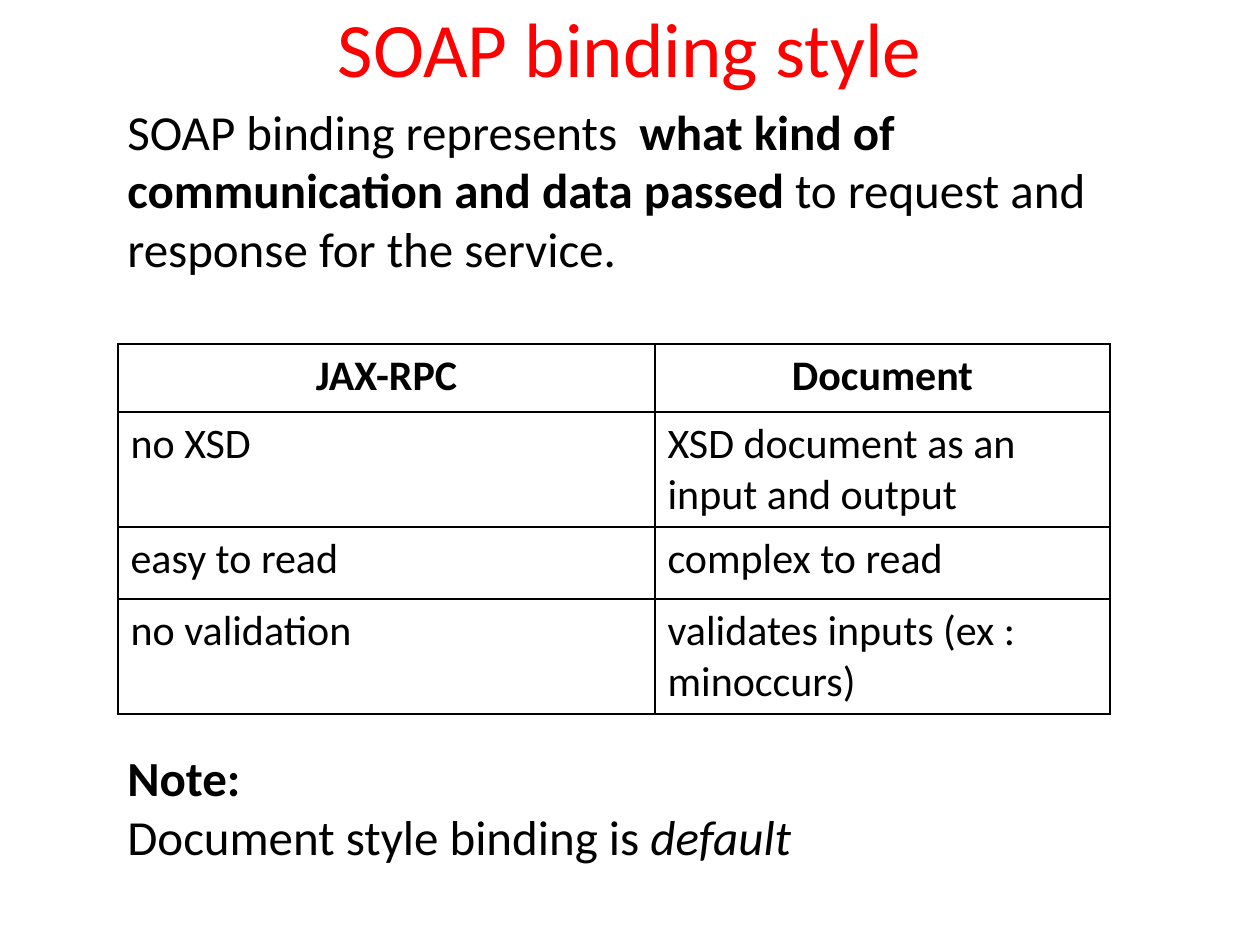
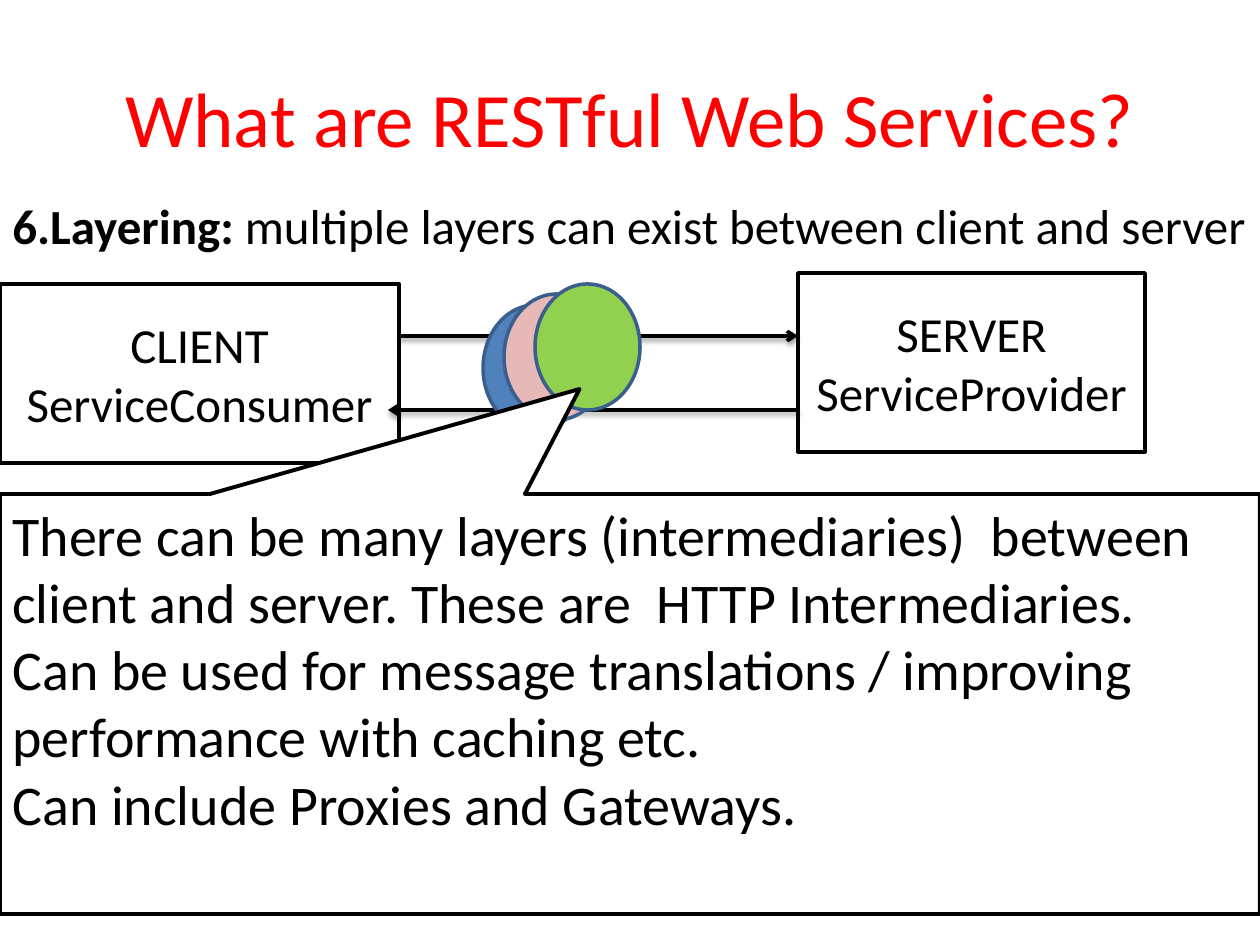
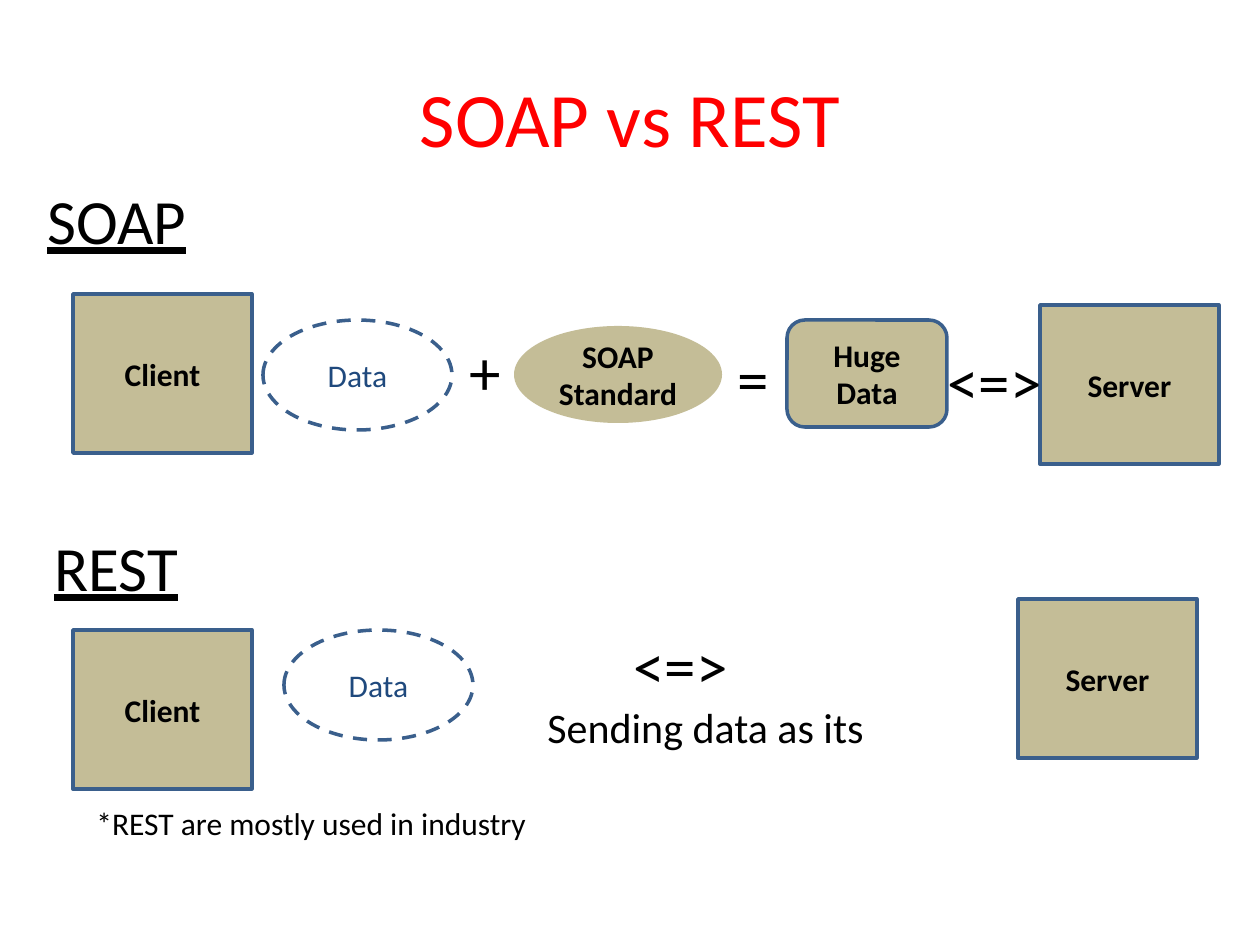
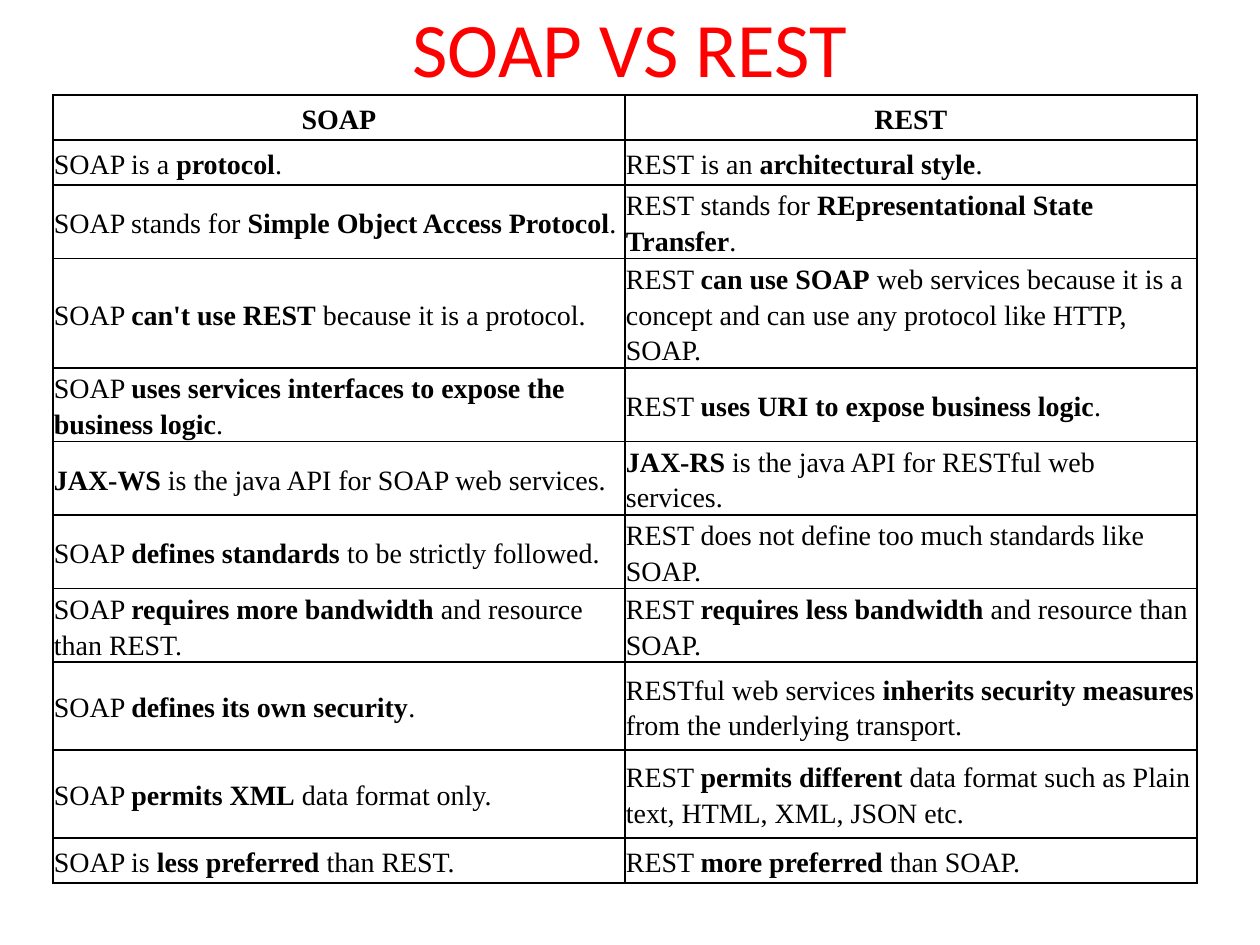
from lxml import etree
from pptx import Presentation
from pptx import util as u
from pptx.dml.color import RGBColor
from pptx.enum import dml, shapes, text
from pptx.oxml import ns

PX_PER_INCH = 126
SHAPE = shapes.MSO_SHAPE
ALIGN = text.PP_ALIGN
ANCHOR = text.MSO_ANCHOR
BODY_FONT = "Calibri"
COLORS = {
    "title": "FF0000",
    "ink": "000000",
    "paper": "FFFFFF",
    "outline": "3A5F8C",
    "tan": "C4BD97",
    "navy": "1F497D",
    "blue": "4F81BD",
    "pink": "E6B9B8",
    "green": "92D050",
}
STYLE_ROWS = [
    ("|JAX-RPC", "|Document"),
    ("no XSD", "XSD document as an input and output"),
    ("easy to read", "complex to read"),
    ("no validation", "validates inputs (ex : minoccurs)"),
]
COMPARISON_ROWS = [
    ("|SOAP", "|REST"),
    ("SOAP is a |protocol|.", "REST is an |architectural style|."),
    ("SOAP stands for |Simple Object Access Protocol|.",
     "REST stands for |REpresentational State Transfer|."),
    ("SOAP |can't use REST| because it is a protocol.",
     "REST |can use SOAP| web services because it is a concept "
     "and can use any protocol like HTTP, SOAP."),
    ("SOAP |uses services interfaces to expose the business logic|.",
     "REST |uses URI to expose business logic|."),
    ("|JAX-WS| is the java API for SOAP web services.",
     "|JAX-RS| is the java API for RESTful web services."),
    ("SOAP |defines standards |to be strictly followed.",
     "REST does not define too much standards like SOAP."),
    ("SOAP |requires more bandwidth| and resource than REST.",
     "REST |requires less bandwidth| and resource than SOAP."),
    ("SOAP |defines its own security|.",
     "RESTful web services |inherits security measures| from the underlying transport."),
    ("SOAP |permits XML| data format only.",
     "REST |permits different| data format such as Plain text, HTML, XML, JSON etc."),
    ("SOAP is |less preferred| than REST.", "REST |more preferred| than SOAP."),
]


def px(length):
    return u.Emu(round(length * u.Inches(1) / PX_PER_INCH))


def place(box):
    return [px(length) for length in box]


def rgb(color):
    return RGBColor.from_string(COLORS[color])


def write_paragraph(paragraph, marked, size, color="ink", align=ALIGN.LEFT, font=BODY_FONT):
    """Text between bars is bold."""
    for index, part in enumerate(marked.split("|")):
        if part:
            run = paragraph.add_run()
            run.text = part
            run.font.bold = index % 2 == 1
    paragraph.alignment = align
    paragraph.font.size = u.Pt(size)
    paragraph.font.name = font
    paragraph.font.color.rgb = rgb(color)


def write_lines(frame, lines, size, **style):
    for index, line in enumerate(lines):
        paragraph = frame.add_paragraph() if index else frame.paragraphs[0]
        write_paragraph(paragraph, line, size, **style)


def add_titled_slide(deck, heading, top):
    slide = deck.slides.add_slide(deck.slide_layouts[5])
    title = slide.shapes.title
    title.left, title.top, title.width, title.height = place((63, top, 1134, 158))
    title.text_frame.vertical_anchor = ANCHOR.MIDDLE
    write_paragraph(title.text_frame.paragraphs[0], heading, 44, "title", ALIGN.CENTER)
    return slide


def add_text(slide, box, lines, size, wrap=True):
    frame = slide.shapes.add_textbox(*place(box)).text_frame
    frame.word_wrap = wrap
    frame.auto_size = text.MSO_AUTO_SIZE.SHAPE_TO_FIT_TEXT
    write_lines(frame, lines, size)
    return frame


def add_figure(slide, kind, box, fill=None, line="outline", lines=(), size=18,
               color="ink", align=ALIGN.CENTER, weight=2):
    figure = slide.shapes.add_shape(kind, *place(box))
    figure.shadow.inherit = False
    if fill:
        figure.fill.solid()
        figure.fill.fore_color.rgb = rgb(fill)
    else:
        figure.fill.background()
    if line:
        figure.line.color.rgb = rgb(line)
        figure.line.width = u.Pt(weight)
    else:
        figure.line.fill.background()
    write_lines(figure.text_frame, lines, size, color=color, align=align)
    return figure


def add_data(slide, left, top):
    data = add_figure(slide, SHAPE.OVAL, (left, top, 189, 110), lines=["Data"], color="navy")
    data.line.dash_style = dml.MSO_LINE.DASH


def add_node(slide, left, top, label):
    add_figure(slide, SHAPE.RECTANGLE, (left, top, 179, 159), "tan", lines=["|" + label])


def add_arrow(slide, start, end, y):
    arrow = slide.shapes.add_connector(
        shapes.MSO_CONNECTOR.STRAIGHT, *place((start, y, end, y)))
    arrow.line.color.rgb = rgb("ink")
    arrow.line.width = u.Pt(2)
    head = etree.SubElement(arrow.line._get_or_add_ln(), ns.qn("a:tailEnd"))
    head.set("type", "arrow")
    effects = etree.SubElement(arrow._element.spPr, ns.qn("a:effectLst"))
    shadow = etree.SubElement(
        effects, ns.qn("a:outerShdw"), blurRad=str(u.Pt(3.1)), dist=str(u.Pt(1.6)),
        dir="5400000", rotWithShape="0")
    tint = etree.SubElement(shadow, ns.qn("a:srgbClr"), val=COLORS["ink"])
    etree.SubElement(tint, ns.qn("a:alpha"), val="38000")


def add_borders(cell):
    properties = cell._tc.get_or_add_tcPr()
    for index, side in enumerate(("lnL", "lnR", "lnT", "lnB")):
        border = etree.Element(ns.qn("a:" + side), w=str(u.Pt(1)))
        fill = etree.SubElement(border, ns.qn("a:solidFill"))
        etree.SubElement(fill, ns.qn("a:srgbClr"), val=COLORS["ink"])
        properties.insert(index, border)


def add_grid(slide, left, top, widths, heights, rows, size, font=BODY_FONT,
             inset=None, anchor=ANCHOR.TOP, spacing=None):
    box = (left, top, sum(widths), sum(heights))
    grid = slide.shapes.add_table(len(rows), len(widths), *place(box)).table
    grid.first_row = grid.horz_banding = False
    for column, width in zip(grid.columns, widths):
        column.width = px(width)
    for index, (row, height, entries) in enumerate(zip(grid.rows, heights, rows)):
        row.height = px(height)
        for cell, entry in zip(row.cells, entries):
            cell.fill.background()
            add_borders(cell)
            cell.vertical_anchor = anchor
            if inset is not None:
                cell.margin_left = cell.margin_right = px(inset)
                cell.margin_top = cell.margin_bottom = px(inset)
            paragraph = cell.text_frame.paragraphs[0]
            align = ALIGN.LEFT if index else ALIGN.CENTER
            write_paragraph(paragraph, entry, size, align=align, font=font)
            paragraph.line_spacing = spacing


def build_binding_style(deck):
    slide = add_titled_slide(deck, "SOAP binding style", -32)
    add_grid(slide, 118, 344, (537, 455), (68, 72, 72, 72), STYLE_ROWS, 24)
    note = add_text(slide, (115, 741, 764, 131),
                    ["|Note:", "Document style binding is |default"], 28)
    default = note.paragraphs[1].runs[-1].font
    default.bold, default.italic = False, True
    add_text(slide, (115, 95, 1077, 190),
             ["SOAP binding represents  |what kind of communication and data passed "
              "|to request and response for the service."], 28)


def build_layering(deck):
    slide = add_titled_slide(deck, "What are RESTful Web Services?", 38)
    add_text(slide, (0, 189, 1273, 72),
             ["|6.Layering: |multiple layers can exist between client and server"],
             28, wrap=False)
    for box, lines in (((798, 273, 347, 179), ["SERVER", "ServiceProvider"]),
                       ((0, 284, 399, 179), ["CLIENT", "ServiceConsumer"])):
        add_figure(slide, SHAPE.RECTANGLE, box, "paper", "ink", lines, 28)
    add_arrow(slide, 399, 798, 336)
    add_arrow(slide, 798, 388, 410)
    for left, top, fill in ((483, 305, "blue"), (504, 294, "pink"), (535, 284, "green")):
        add_figure(slide, SHAPE.OVAL, (left, top, 105, 126), fill)
    callout = add_figure(
        slide, SHAPE.RECTANGULAR_CALLOUT, (0, 494, 1260, 420), "paper", "ink",
        ["There can be many layers (intermediaries)  between client and server. "
         "These are  HTTP Intermediaries.",
         "Can be used for message translations / improving performance with caching etc.",
         "Can include Proxies and Gateways."], 32, align=ALIGN.LEFT, weight=2.25)
    callout.adjustments[0] = -0.04
    callout.adjustments[1] = -0.75
    callout.text_frame.vertical_anchor = ANCHOR.TOP


def build_message_flow(deck):
    slide = add_titled_slide(deck, "SOAP vs REST", 38)
    add_node(slide, 73, 294, "Client")
    add_node(slide, 1040, 305, "Server")
    add_data(slide, 263, 320)
    add_figure(slide, SHAPE.OVAL, (514, 326, 208, 97), "tan", None, ["|SOAP", "|Standard"])
    add_figure(slide, SHAPE.ROUNDED_RECTANGLE, (787, 320, 160, 107), "tan",
               lines=["|Huge Data"])
    for left, top, width, sign in ((457, 326, 57, "+"), (725, 333, 57, "="),
                                   (935, 336, 120, "<=>")):
        add_text(slide, (left, top, width, 89), [sign], 36, wrap=False)
    for left, top, width, heading in ((35, 175, 166, "SOAP"), (42, 522, 150, "REST")):
        label = add_text(slide, (left, top, width, 89), [heading], 36, wrap=False)
        label.paragraphs[0].font.underline = True
    add_node(slide, 73, 630, "Client")
    add_node(slide, 1018, 599, "Server")
    add_data(slide, 284, 630)
    exchange = add_text(slide, (535, 620, 401, 140), ["<=>", "Sending data as its"], 36)
    sign, caption = exchange.paragraphs
    sign._p.get_or_add_pPr().set("marL", str(px(86)))
    caption.font.size = u.Pt(24)
    add_text(slide, (84, 798, 829, 50), ["*REST are mostly used in industry"], 18)


def build_comparison(deck):
    slide = add_titled_slide(deck, "SOAP VS REST", -32)
    heights = [88 if index in (3, 8, 9) else 45 for index in range(len(COMPARISON_ROWS))]
    add_grid(slide, 53, 95, (572, 572), heights, COMPARISON_ROWS, 16,
             "Times New Roman", 1, ANCHOR.MIDDLE, 1.15)


def main():
    deck = Presentation()
    deck.slide_width, deck.slide_height = place((1260, 945))
    build_binding_style(deck)
    build_layering(deck)
    build_message_flow(deck)
    build_comparison(deck)
    deck.save("out.pptx")


if __name__ == "__main__":
    main()
